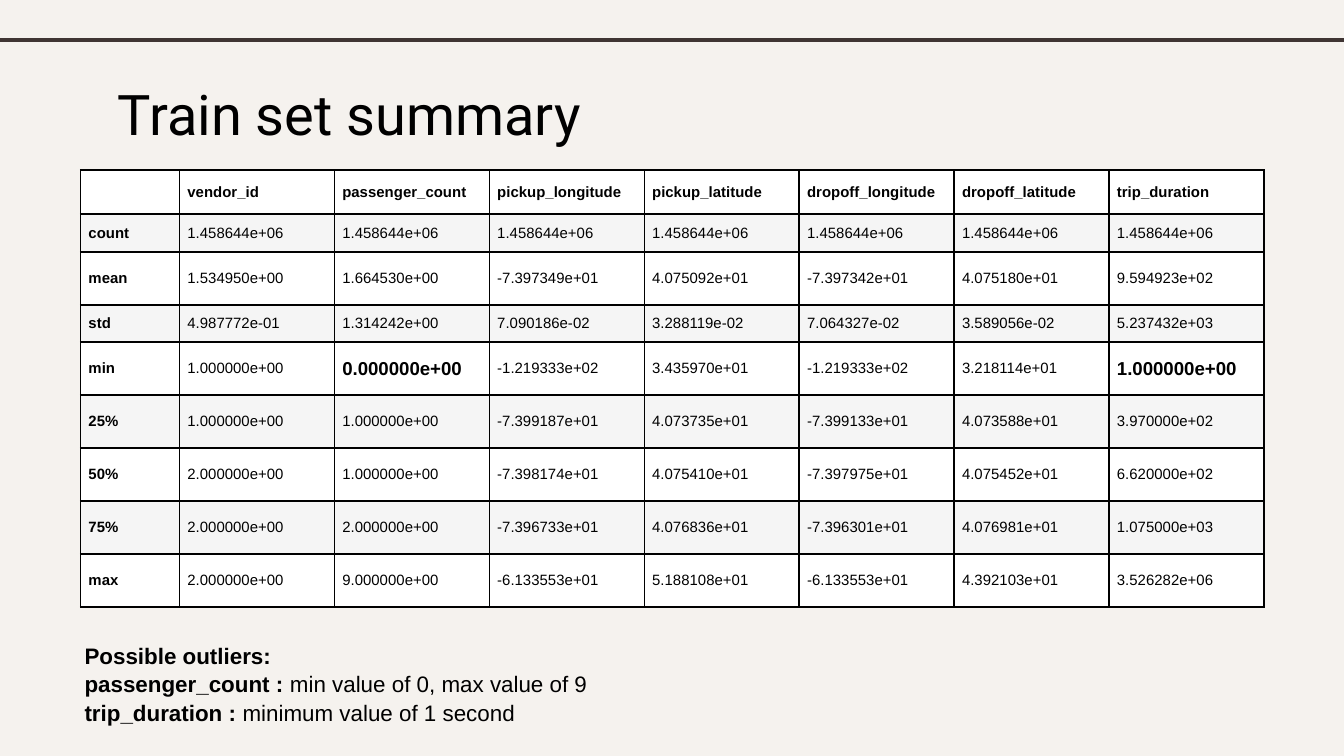
import pptx
import pptx.dml.color
import pptx.enum.shapes
import pptx.enum.text
import pptx.oxml
import pptx.oxml.ns
import pptx.util
from lxml import etree

Pt = pptx.util.Pt
ANCHOR = pptx.enum.text.MSO_ANCHOR
COLORS = {"background": "F5F2EE", "rule": "3F3533", "text": "000000",
          "border": "000000", "white": "FFFFFF", "band": "F5F5F5"}


def rgb(name):
    return pptx.dml.color.RGBColor.from_string(COLORS[name])


def add_run(paragraph, text, size, bold=False, name="Arial"):
    run = paragraph.add_run()
    run.text = text
    for attribute, value in {"size": Pt(size), "bold": bold, "name": name}.items():
        setattr(run.font, attribute, value)
    run.font.color.rgb = rgb("text")


presentation = pptx.Presentation()
presentation.slide_width = Pt(720)
presentation.slide_height = Pt(405)
slide = presentation.slides.add_slide(presentation.slide_layouts[5])
slide.background.fill.solid()
slide.background.fill.fore_color.rgb = rgb("background")

# Rule across the top
rule = slide.shapes.add_connector(
    pptx.enum.shapes.MSO_CONNECTOR.STRAIGHT, Pt(-6), Pt(21.5), Pt(726), Pt(21.5))
rule.line.color.rgb = rgb("rule")
rule.line.width = Pt(2.25)
etree.SubElement(rule._element.spPr, pptx.oxml.ns.qn("a:effectLst"))

# Title and closing note
title = slide.shapes.title
title.left, title.top, title.width, title.height = Pt(56), Pt(35.4), Pt(608), Pt(45.4)
note = slide.shapes.add_textbox(Pt(38.2), Pt(336.2), Pt(289.4), Pt(44))

frame_format = {"word_wrap": True, "vertical_anchor": ANCHOR.TOP,
                "auto_size": pptx.enum.text.MSO_AUTO_SIZE.NONE,
                "margin_left": Pt(7.2), "margin_right": Pt(7.2),
                "margin_top": Pt(7.2), "margin_bottom": Pt(7.2)}
for shape in (title, note):
    for attribute, value in frame_format.items():
        setattr(shape.text_frame, attribute, value)

title_paragraph = title.text_frame.paragraphs[0]
title_paragraph.alignment = pptx.enum.text.PP_ALIGN.LEFT
add_run(title_paragraph, "Train set summary", 30, name="Roboto")

outliers = [("Possible outliers:", ""),
            ("passenger_count : ", "min value of 0, max value of 9"),
            ("trip_duration : ", "minimum value of 1 second")]
for index, (label, detail) in enumerate(outliers):
    paragraph = note.text_frame.add_paragraph() if index else note.text_frame.paragraphs[0]
    paragraph.line_spacing = 1.05
    add_run(paragraph, label, 12, bold=True)
    if detail:
        add_run(paragraph, detail, 12)

# Summary statistics
summary = [
    ["", "vendor_id", "passenger_count", "pickup_longitude", "pickup_latitude",
     "dropoff_longitude", "dropoff_latitude", "trip_duration"],
    ["count"] + ["1.458644e+06"] * 7,
    ["mean", "1.534950e+00", "1.664530e+00", "-7.397349e+01", "4.075092e+01",
     "-7.397342e+01", "4.075180e+01", "9.594923e+02"],
    ["std", "4.987772e-01", "1.314242e+00", "7.090186e-02", "3.288119e-02",
     "7.064327e-02", "3.589056e-02", "5.237432e+03"],
    ["min", "1.000000e+00", "0.000000e+00", "-1.219333e+02", "3.435970e+01",
     "-1.219333e+02", "3.218114e+01", "1.000000e+00"],
    ["25%", "1.000000e+00", "1.000000e+00", "-7.399187e+01", "4.073735e+01",
     "-7.399133e+01", "4.073588e+01", "3.970000e+02"],
    ["50%", "2.000000e+00", "1.000000e+00", "-7.398174e+01", "4.075410e+01",
     "-7.397975e+01", "4.075452e+01", "6.620000e+02"],
    ["75%", "2.000000e+00", "2.000000e+00", "-7.396733e+01", "4.076836e+01",
     "-7.396301e+01", "4.076981e+01", "1.075000e+03"],
    ["max", "2.000000e+00", "9.000000e+00", "-6.133553e+01", "5.188108e+01",
     "-6.133553e+01", "4.392103e+01", "3.526282e+06"],
]
outlier_cells = {(4, 2), (4, 7)}
column_widths = [53] + [83] * 7
row_heights = [23.6, 20.1, 28.4, 20.1] + [28.4] * 5
cell_format = {"vertical_anchor": ANCHOR.MIDDLE,
               "margin_left": Pt(4.2), "margin_right": Pt(4.2),
               "margin_top": Pt(2.1), "margin_bottom": Pt(2.1)}

table = slide.shapes.add_table(
    len(summary), len(column_widths), Pt(43.2), Pt(91.2),
    Pt(sum(column_widths)), Pt(sum(row_heights))).table
for column, width in zip(table.columns, column_widths):
    column.width = Pt(width)
for row, height in zip(table.rows, row_heights):
    row.height = Pt(height)

for row_index, values in enumerate(summary):
    for column_index, value in enumerate(values):
        cell = table.cell(row_index, column_index)
        for attribute, setting in cell_format.items():
            setattr(cell, attribute, setting)
        paragraph = cell.text_frame.paragraphs[0]
        paragraph.font.size = Pt(8)
        if value:
            outlier = (row_index, column_index) in outlier_cells
            heading = row_index == 0 or column_index == 0
            add_run(paragraph, value, 10 if outlier else 8, bold=heading or outlier)
        cell.fill.solid()
        cell.fill.fore_color.rgb = rgb("band" if row_index % 2 else "white")
        properties = cell._tc.get_or_add_tcPr()
        for position, side in enumerate(("lnL", "lnR", "lnT", "lnB")):
            properties.insert(position, pptx.oxml.parse_xml(
                f'<a:{side} {pptx.oxml.ns.nsdecls("a")} w="{Pt(1)}"><a:solidFill>'
                f'<a:srgbClr val="{COLORS["border"]}"/></a:solidFill></a:{side}>'))

presentation.save("out.pptx")
